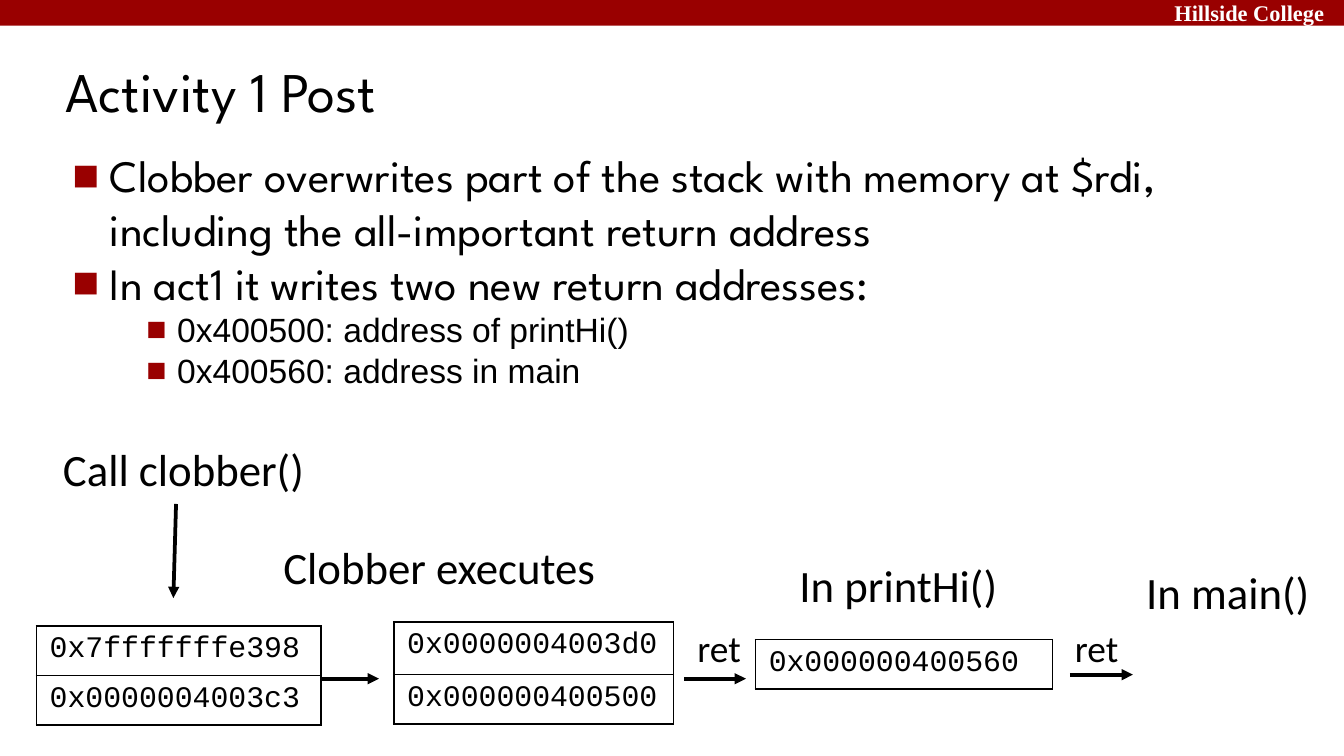
"""Build the slide that follows the stack through clobber(), printHi() and main()."""
import pptx
import pptx.dml.color
import pptx.enum.shapes
import pptx.enum.text
import pptx.oxml
import pptx.oxml.ns
import pptx.util
from lxml import etree

Inches = pptx.util.Inches
Pt = pptx.util.Pt
qn = pptx.oxml.ns.qn
ANCHOR = pptx.enum.text.MSO_ANCHOR


def color(value):
    return pptx.dml.color.RGBColor.from_string(value)


def add_text(box, text, size, font, ink="000000", bold=False, inset=0.05, anchor=ANCHOR.TOP, wrap=True):
    left, top, width, height = map(Inches, box)
    frame = slide.shapes.add_textbox(left, top, width, height).text_frame
    frame.word_wrap = wrap
    frame.vertical_anchor = anchor
    frame.margin_top = frame.margin_bottom = Inches(inset)
    frame.text = text
    for paragraph in frame.paragraphs:
        paragraph.font.size = Pt(size)
        paragraph.font.name = font
        paragraph.font.bold = bold
        paragraph.font.color.rgb = color(ink)
    return frame


deck = pptx.Presentation()
deck.slide_width = Inches(10)
deck.slide_height = deck.slide_width * 9 // 16
slide = deck.slides.add_slide(deck.slide_layouts[6])

banner = slide.shapes.add_shape(
    pptx.enum.shapes.MSO_SHAPE.RECTANGLE, 0, 0, Inches(10), Inches(0.19))
banner.shadow.inherit = False
banner.fill.solid()
banner.fill.fore_color.rgb = color("990000")
banner.line.fill.background()
add_text((8.64, -0.02, 1.43, 0.23), "Hillside College", 12, "Times New Roman",
         "FFFFFF", bold=True, anchor=ANCHOR.MIDDLE)
add_text((0.39, 0.36, 8.3, 0.62), "Activity 1 Post", 30, "League Spartan",
         inset=0.1, anchor=ANCHOR.MIDDLE)

points = [
    ("Clobber overwrites part of the stack with memory at $rdi, "
     "including the all-important return address", 0),
    ("In act1 it writes two new return addresses:", 0),
    ("0x400500: address of printHi()", 1),
    ("0x400560: address in main", 1),
]
level_styles = [(24, "League Spartan", 0.38, 0.28), (18, "Arial", 0.88, 0.23)]
body = add_text((0.34, 1, 9.07, 1.92), "\n".join(text for text, level in points),
                24, "League Spartan", inset=0.1)
for paragraph, (text, level) in zip(body.paragraphs, points):
    size, font, margin, hang = level_styles[level]
    paragraph.level = level
    paragraph.font.size = Pt(size)
    paragraph.font.name = font
    properties = paragraph._p.get_or_add_pPr()
    properties.set("marL", str(Inches(margin)))
    properties.set("indent", str(-Inches(hang)))
    bullet = pptx.oxml.parse_xml(
        '<a:pPr xmlns:a="http://schemas.openxmlformats.org/drawingml/2006/main">'
        '<a:buClr><a:srgbClr val="990000"/></a:buClr>'
        '<a:buFont typeface="Arial"/><a:buChar char="■"/></a:pPr>')
    for position, part in enumerate(list(bullet)):
        properties.insert(position, part)

stacks = [
    (0.27, 4.66, 2.12, [("0x7fffffffe398", 0.3), ("0x0000004003c3", 0.3)]),
    (2.93, 4.63, 2.08, [("0x0000004003d0", 0.39), ("0x000000400500", 0.25)]),
    (5.62, 4.76, 2.21, [("0x000000400560", 0.3)]),
]
for left, top, width, addresses in stacks:
    height = sum(row_height for address, row_height in addresses)
    stack = slide.shapes.add_table(len(addresses), 1, Inches(left), Inches(top),
                                   Inches(width), Inches(height)).table
    stack.first_row = stack.horz_banding = False
    for row, (address, row_height) in enumerate(addresses):
        stack.rows[row].height = Inches(row_height)
        cell = stack.cell(row, 0)
        cell.text = address
        address_font = cell.text_frame.paragraphs[0].font
        address_font.size = Pt(16)
        address_font.name = "Courier New"
        address_font.color.rgb = color("000000")
        cell.fill.background()
        borders = cell._tc.get_or_add_tcPr()
        for position, side in enumerate(("a:lnL", "a:lnR", "a:lnT", "a:lnB")):
            border = etree.Element(qn(side), w=str(Pt(1)))
            ink = etree.SubElement(border, qn("a:solidFill"))
            etree.SubElement(ink, qn("a:srgbClr"), val="000000")
            borders.insert(position, border)

arrows = [
    (1.31, 3.75, 1.29, 4.45),
    (2.39, 5.05, 2.82, 5.05),
    (5.09, 5.05, 5.55, 5.05),
    (7.96, 5.02, 8.43, 5.02),
]
for ends in arrows:
    arrow = slide.shapes.add_connector(
        pptx.enum.shapes.MSO_CONNECTOR.STRAIGHT, *map(Inches, ends))
    arrow.line.color.rgb = color("000000")
    arrow.line.width = Pt(2)
    etree.SubElement(arrow.line._get_or_add_ln(), qn("a:tailEnd"), type="triangle")
    etree.SubElement(arrow._element.spPr, qn("a:effectLst"))

captions = [
    ("Call clobber()", 24, (0.37, 3.24, 2.01, 0.5)),
    ("Clobber executes", 24, (2.01, 3.97, 2.56, 0.5)),
    ("In printHi()", 24, (5.85, 4.1, 1.69, 0.5)),
    ("In main()", 24, (8.43, 4.15, 1.43, 0.5)),
    ("ret", 20, (5.09, 4.6, 0.53, 0.44)),
    ("ret", 20, (7.9, 4.6, 0.53, 0.44)),
]
for text, size, box in captions:
    caption = add_text(box, text, size, "Calibri", wrap=False)
    caption.auto_size = pptx.enum.text.MSO_AUTO_SIZE.SHAPE_TO_FIT_TEXT

deck.save("out.pptx")
